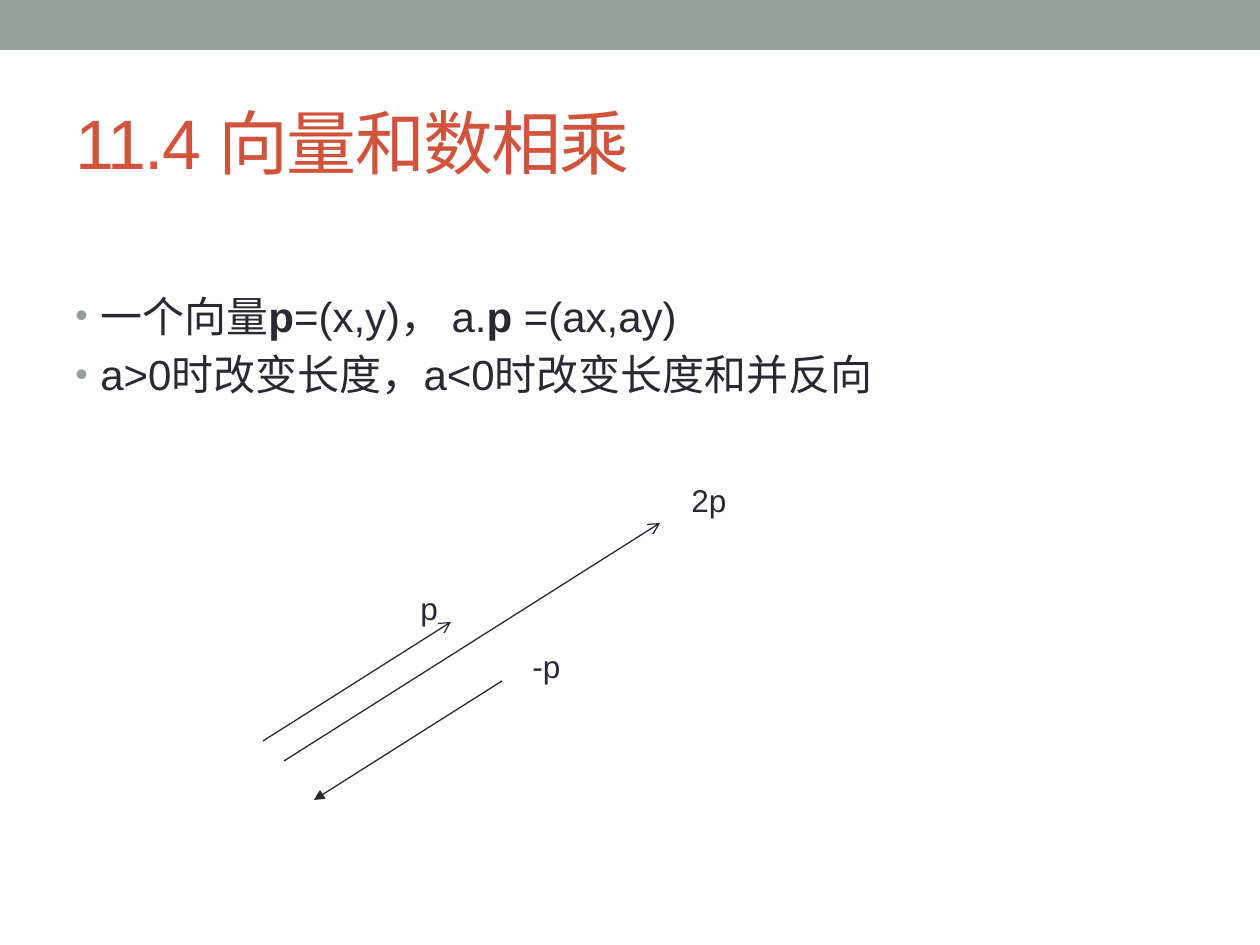
from dataclasses import dataclass

import pptx
import pptx.dml.color
import pptx.enum.shapes
import pptx.enum.text
import pptx.oxml
import pptx.oxml.ns
import pptx.util


@dataclass(frozen=True)
class Theme:
    font: str = "Arial"
    band: str = "93A299"
    head: str = "D2533C"
    ink: str = "292934"
    title: int = 40
    body: int = 24
    label: int = 18
    gap: float = 4.8
    line: float = 0.75


THEME = Theme()
STEP = (188, -119)


def px(num):
    return round(num * 914400 / 126)


def rgb(code):
    return pptx.dml.color.RGBColor.from_string(code)


def node(tag, attrs="", inner=""):
    space = pptx.oxml.ns.nsdecls("a")
    return pptx.oxml.parse_xml(f"<a:{tag} {space} {attrs}>{inner}</a:{tag}>")


def style(run, size, color, bold=False):
    run.font.name = THEME.font
    run.font.size = pptx.util.Pt(size)
    run.font.color.rgb = rgb(color)
    run.font.bold = bold


def add_band(slide):
    kind = pptx.enum.shapes.MSO_SHAPE.RECTANGLE
    band = slide.shapes.add_shape(kind, 0, 0, px(1260), px(50))
    band.shadow.inherit = False
    band.fill.solid()
    band.fill.fore_color.rgb = rgb(THEME.band)
    band.line.fill.background()


def add_box(slide, area, wrap=True):
    box = slide.shapes.add_textbox(*map(px, area))
    box.text_frame.word_wrap = wrap
    return box.text_frame


def add_title(slide, text):
    frame = add_box(slide, (63, 73, 1134, 136))
    frame.vertical_anchor = pptx.enum.text.MSO_ANCHOR.MIDDLE
    frame.text = text
    run = frame.paragraphs[0].runs[0]
    style(run, THEME.title, THEME.head)
    run._r.get_or_add_rPr().set("spc", "-100")


def add_bullet(para):
    props = para._p.get_or_add_pPr()
    props.set("marL", str(px(25)))
    props.set("indent", str(-px(25)))
    props.append(node("buClr", inner=f'<a:srgbClr val="{THEME.band}"/>'))
    props.append(node("buSzPct", 'val="85000"'))
    props.append(node("buFont", f'typeface="{THEME.font}"'))
    props.append(node("buChar", 'char="•"'))


def add_body(slide, items):
    frame = add_box(slide, (63, 284, 1134, 608))
    for rank, parts in enumerate(items):
        para = frame.add_paragraph() if rank else frame.paragraphs[0]
        add_bullet(para)
        if rank:
            para.space_before = pptx.util.Pt(THEME.gap)
        for text, bold in parts:
            run = para.add_run()
            run.text = text
            style(run, THEME.body, THEME.ink, bold)


def add_arrow(slide, start, times, end, shape):
    goal = [base + times * step for base, step in zip(start, STEP)]
    kind = pptx.enum.shapes.MSO_CONNECTOR.STRAIGHT
    arrow = slide.shapes.add_connector(kind, *map(px, (*start, *goal)))
    arrow.line.color.rgb = rgb(THEME.ink)
    arrow.line.width = pptx.util.Pt(THEME.line)
    arrow.line._get_or_add_ln().append(node(end, f'type="{shape}"'))
    arrow._element.spPr.append(node("effectLst"))


def add_label(slide, text, left, top, width):
    frame = add_box(slide, (left, top, width, 50), wrap=False)
    frame.auto_size = pptx.enum.text.MSO_AUTO_SIZE.SHAPE_TO_FIT_TEXT
    frame.text = text
    style(frame.paragraphs[0].runs[0], THEME.label, THEME.ink)


def main():
    deck = pptx.Presentation()
    deck.slide_width, deck.slide_height = px(1260), px(945)
    slide = deck.slides.add_slide(deck.slide_layouts[6])
    add_band(slide)
    add_title(slide, "11.4 向量和数相乘")
    add_body(slide, [
        [("一个向量", False), ("p", True), ("=(x,y)， a.", False),
         ("p", True), (" =(ax,ay)", False)],
        [("a>0时改变长度，a<0时改变长度和并反向", False)],
    ])
    add_arrow(slide, (263, 741), 1, "tailEnd", "arrow")
    add_label(slide, "p", 408, 583, 43)
    add_arrow(slide, (284, 761), 2, "tailEnd", "arrow")
    add_label(slide, "2p", 679, 475, 60)
    add_arrow(slide, (314, 800), 1, "headEnd", "triangle")
    add_label(slide, "-p", 520, 641, 54)
    deck.save("out.pptx")


if __name__ == "__main__":
    main()
